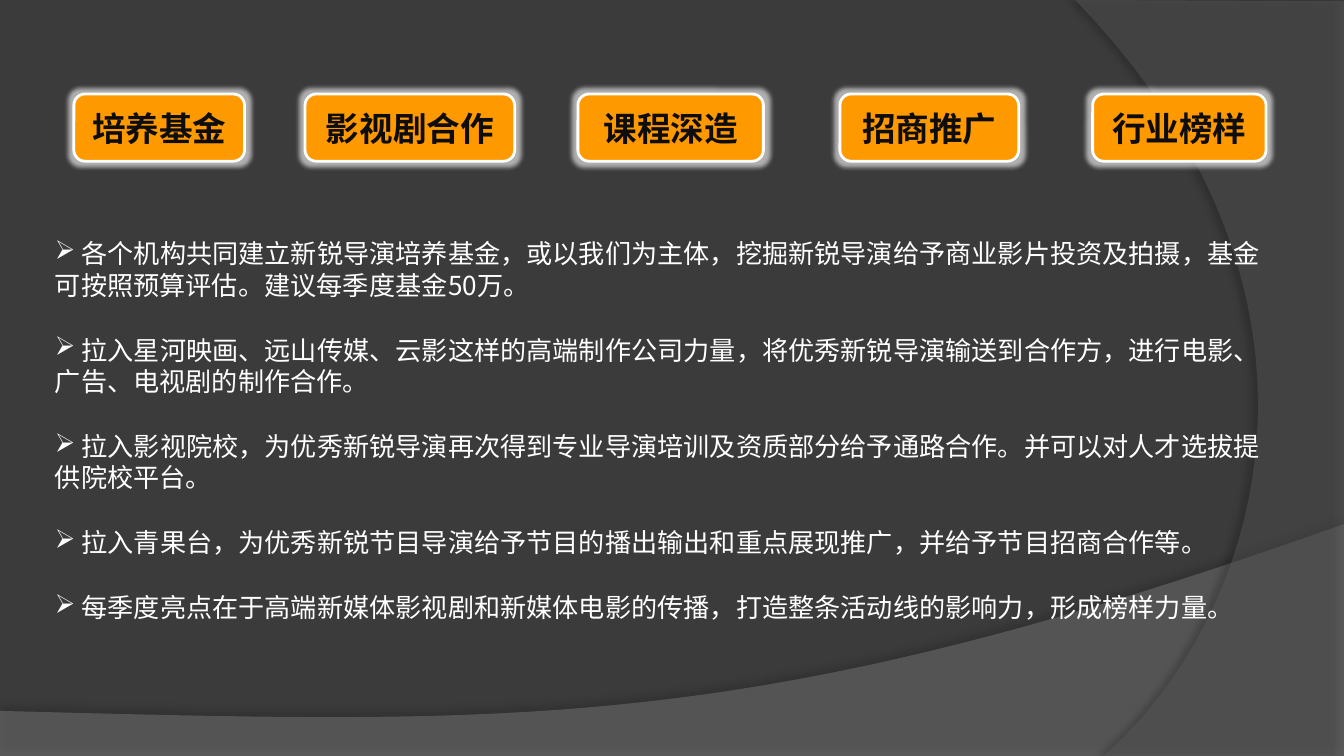
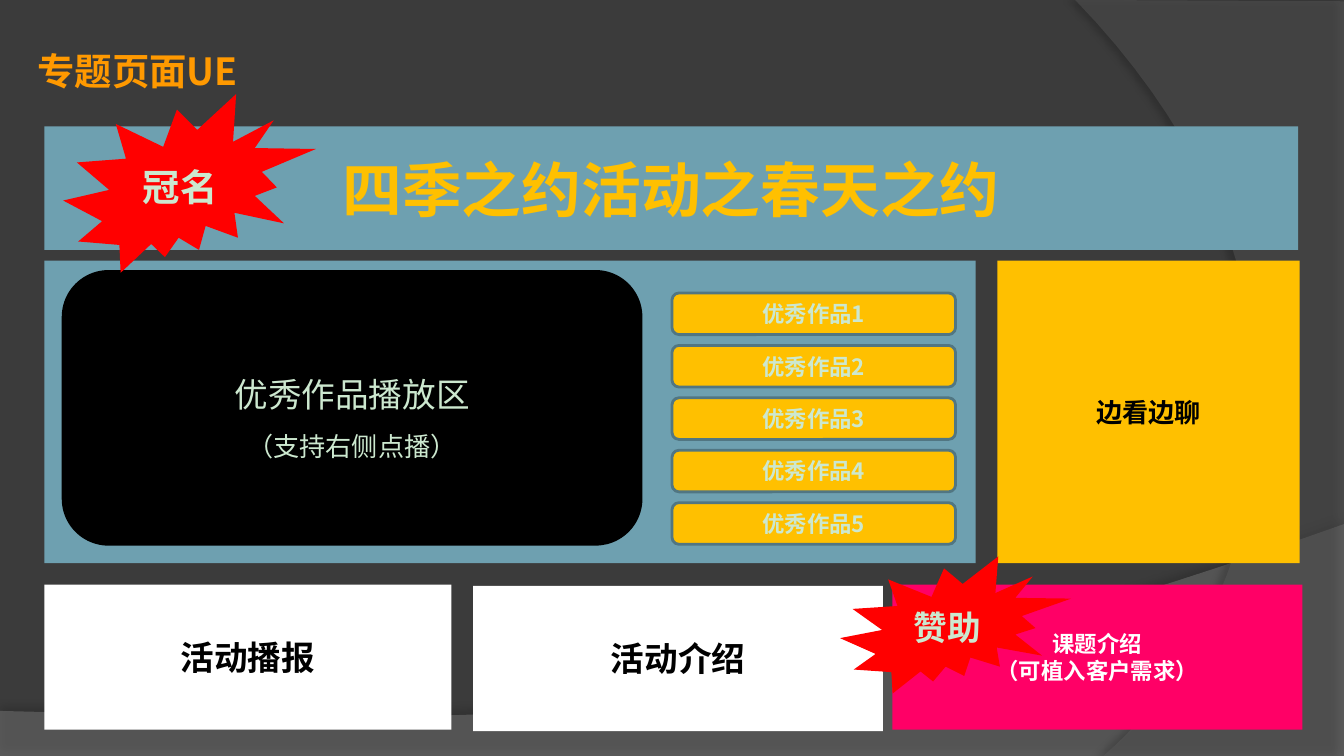
from lxml.etree import SubElement as Sub
from pptx import Presentation as Deck
from pptx.dml.color import RGBColor
from pptx.enum.shapes import MSO_SHAPE as Kind
from pptx.enum.text import MSO_ANCHOR as Anchor, PP_ALIGN as Align
from pptx.oxml.ns import qn
from pptx.util import Inches, Pt

COLS, ROWS, UNIT = 100, 56.25, 0.1
FONT = "Noto Sans CJK SC"
WHITE, MINT, BLACK, INK = "FFFFFF", "CCE8CF", "000000", "0D0D0D"
ORANGE, GOLD, TEAL, PINK, RED = "FF9900", "FFC000", "6EA0B0", "FF0066", "FF0000"
DARK, EDGE = "3B3B3B", "517682"

PILLS = [("培养基金", 5.5, 12.7), ("影视剧合作", 22.7, 15.6), ("课程深造", 43, 13.8),
         ("招商推广", 62.5, 13.3), ("行业榜样", 81.3, 12.9)]
POINTS = [
    "各个机构共同建立新锐导演培养基金，或以我们为主体，挖掘新锐导演给予商业影片投资及拍摄，基金可按照预算评估。建议每季度基金50万。",
    "拉入星河映画、远山传媒、云影这样的高端制作公司力量，将优秀新锐导演输送到合作方，进行电影、广告、电视剧的制作合作。",
    "拉入影视院校，为优秀新锐导演再次得到专业导演培训及资质部分给予通路合作。并可以对人才选拔提供院校平台。",
    "拉入青果台，为优秀新锐节目导演给予节目的播出输出和重点展现推广，并给予节目招商合作等。",
    "每季度亮点在于高端新媒体影视剧和新媒体电影的传播，打造整条活动线的影响力，形成榜样力量。",
]


def rgb(code):
    return RGBColor.from_string(code)


def emu(n):
    return Inches(n * UNIT)


def curve(a, b, c, d, steps=40):
    for i in range(1, steps + 1):
        t = i / steps
        s = 1 - t
        yield tuple(s**3 * p + 3 * s * s * t * q + 3 * s * t * t * r + t**3 * e
                    for p, q, r, e in zip(a, b, c, d))


class Page:
    """Draws styled elements on the current slide, on a grid of 100 columns."""

    def __init__(self, deck):
        self.deck = deck

    def start(self):
        self.slide = self.deck.slides.add_slide(self.deck.slide_layouts[6])
        back = self.slide.background.fill
        back.solid()
        back.fore_color.rgb = rgb(DARK)
        low = [(0, 52.9), (0, ROWS), (COLS, ROWS), (COLS, 39)]
        low += curve(low[-1], (55.9, 54.7), (39.1, 53.9), low[0])
        self.band(low, "7F7F7F", 45, 35, 3.5, 270)
        side = [(COLS, 0.1), (COLS, ROWS), (82.1, ROWS)]
        side += curve(side[-1], (93.5, 46.4), (101.8, 22.5), (80, 0))
        self.band(side, "5E5E5E", 40, 45, 4, 180)

    def paint(self, shape, fill, line=None):
        shape.shadow.inherit = False
        shape.fill.solid()
        shape.fill.fore_color.rgb = rgb(fill)
        if line:
            shape.line.color.rgb = rgb(line)
            shape.line.width = Pt(1.5)
        else:
            shape.line.fill.background()

    def effect(self, shape, tag, color, alpha, **form):
        root = shape.element.spPr.find(qn("a:effectLst"))
        node = Sub(root, qn(tag), {k: str(int(v)) for k, v in form.items()})
        tint = Sub(node, qn("a:srgbClr"), val=color)
        Sub(tint, qn("a:alpha"), val=str(alpha * 1000))

    def band(self, dots, fill, alpha, shade, dist, angle):
        dots = [(emu(x), emu(y)) for x, y in dots]
        pen = self.slide.shapes.build_freeform(*dots[0], scale=1)
        pen.add_line_segments(dots[1:], close=True)
        shape = pen.convert_to_shape()
        self.paint(shape, fill)
        tint = shape.element.spPr.find(qn("a:solidFill"))[0]
        Sub(tint, qn("a:alpha"), val=str(alpha * 1000))
        self.effect(shape, "a:outerShdw", BLACK, shade, blurRad=Pt(4),
                    dist=Pt(dist), dir=angle * 60000, rotWithShape=0)

    def letter(self, frame, lines, size, color, bold=True, para=None, mark=None):
        frame.word_wrap = True
        sizes = size if isinstance(size, list) else [size] * len(lines)
        for i, (line, pts) in enumerate(zip(lines, sizes)):
            par = frame.paragraphs[0] if i == 0 else frame.add_paragraph()
            for key, val in (para or {}).items():
                setattr(par, key, val)
            if mark:
                prop = par._p.get_or_add_pPr()
                prop.set("marL", "0")
                prop.set("indent", "0")
                Sub(prop, qn("a:buChar"), char=mark)
            run = par.add_run()
            run.text = line
            form = {"size": Pt(pts), "bold": bold, "name": FONT}
            for key, val in form.items():
                setattr(run.font, key, val)
            run.font.color.rgb = rgb(color)
            Sub(run._r.get_or_add_rPr(), qn("a:ea"), typeface=FONT)

    def text(self, box, lines, size, color, **more):
        shape = self.slide.shapes.add_textbox(*map(emu, box))
        self.letter(shape.text_frame, lines, size, color, **more)

    def block(self, box, fill, lines=(), size=18, color=BLACK, kind=Kind.RECTANGLE,
              line=None, bold=True, gap=None):
        shape = self.slide.shapes.add_shape(kind, *map(emu, box))
        self.paint(shape, fill, line)
        shape.text_frame.vertical_anchor = Anchor.MIDDLE
        para = {"alignment": Align.CENTER, "line_spacing": gap}
        self.letter(shape.text_frame, lines, size, color, bold, para)
        return shape

    def pill(self, box, fill, label, size, color, line):
        return self.block(box, fill, [label], size, color, Kind.ROUNDED_RECTANGLE, line)

    def burst(self, box, label, size):
        self.block(box, RED, [label], size, MINT, Kind.EXPLOSION2)


def plan(page):
    page.start()
    page.text((3.1, 17.2, 92.2, 30), [" " + p for p in POINTS], 14, WHITE,
              bold=False, para={"space_before": Pt(18)}, mark="➢")
    for label, x, w in PILLS:
        pill = page.pill((x, 7, w, 5), ORANGE, label, 18, INK, WHITE)
        page.effect(pill, "a:glow", WHITE, 60, rad=Pt(5))


def topic(page):
    page.start()
    page.text((1.8, 3.1, 96.7, 4.4), ["专题页面UE"], 20, ORANGE)
    page.block((3.3, 9.4, 93.3, 9.2), TEAL, ["四季之约活动之春天之约"], 32, GOLD)
    page.block((3.3, 19.4, 69.3, 22.5), TEAL)
    page.block((3.3, 43.5, 30.3, 10.8), WHITE, ["活动播报"])
    page.block((35.2, 43.6, 30.5, 10.8), WHITE, ["活动介绍"])
    page.block((66.4, 43.5, 30.5, 10.8), PINK, ["课题介绍", "（可植入客户需求）"], 12, WHITE)
    page.block((74.2, 19.4, 22.5, 22.5), GOLD, ["边看边聊"], 14)
    for i in range(5):
        page.pill((50, 21.8 + 3.9 * i, 21.1, 3.1), GOLD, f"优秀作品{i + 1}", 12, MINT, EDGE)
    page.block((4.7, 20.2, 43, 20.3), BLACK, ["优秀作品播放区", "（支持右侧点播）"], [18, 14],
               MINT, Kind.ROUNDED_RECTANGLE, BLACK, False, 1.5)
    page.burst((4.7, 7, 18.8, 13.3), "冠名", 20)
    page.burst((62.5, 41.4, 17.2, 10.2), "赞助", 18)


def main():
    deck = Deck()
    deck.slide_width, deck.slide_height = emu(COLS), emu(ROWS)
    page = Page(deck)
    plan(page)
    topic(page)
    deck.save("out.pptx")


if __name__ == "__main__":
    main()
